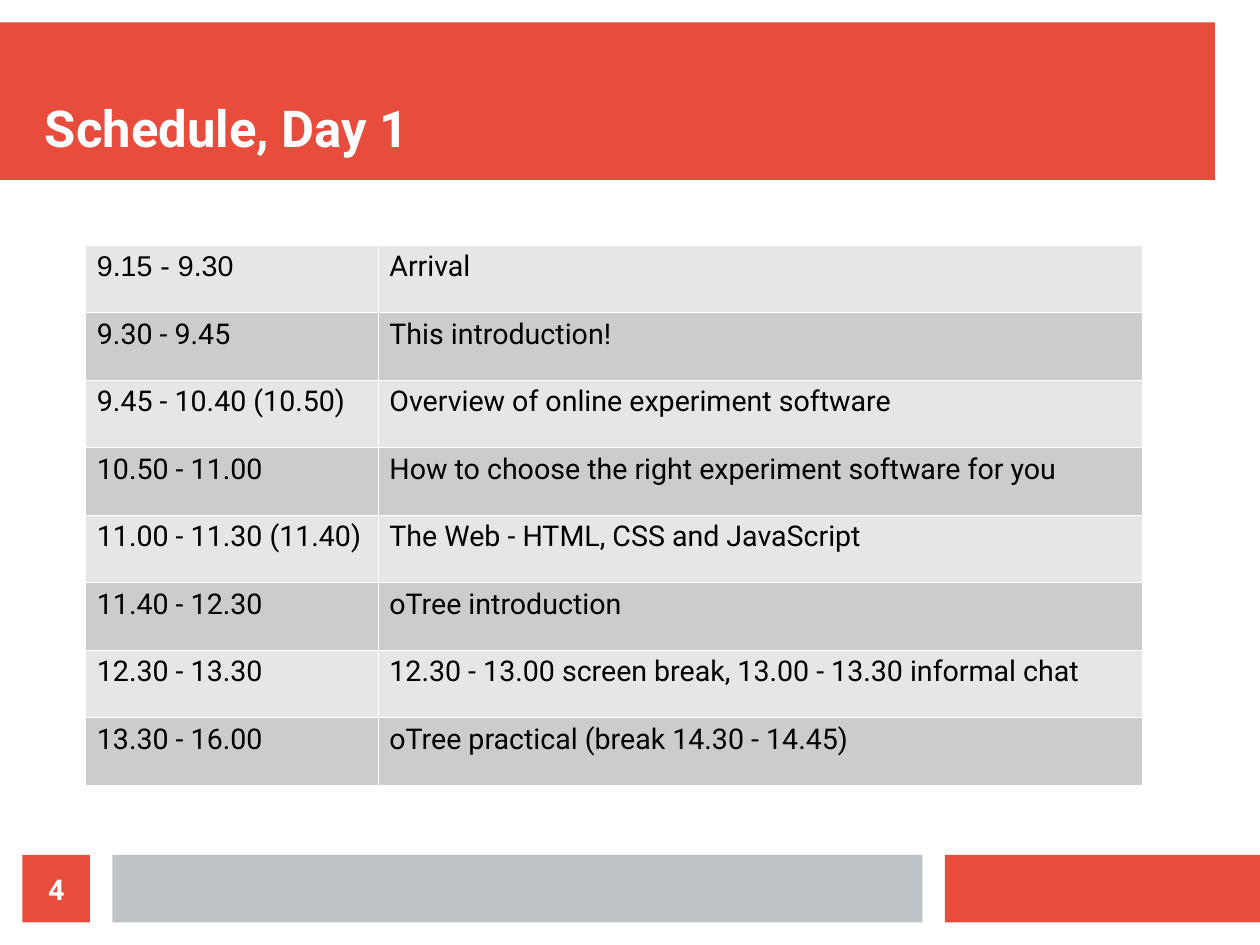
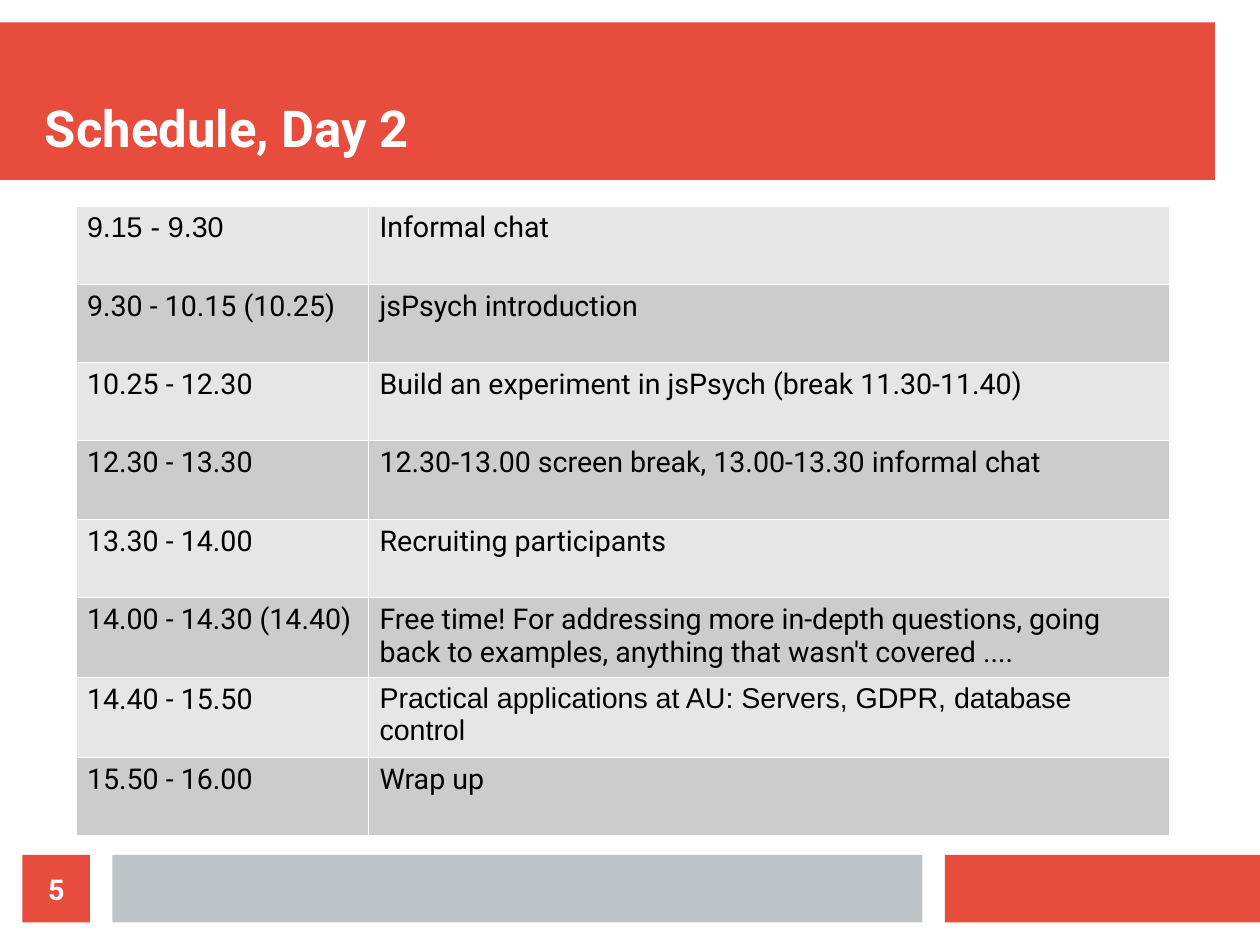
"""Build the two workshop schedule slides."""
import pptx
import pptx.dml.color
import pptx.enum.shapes
import pptx.enum.text
import pptx.oxml
import pptx.oxml.ns
import pptx.util

Cm = pptx.util.Cm
RGBColor = pptx.dml.color.RGBColor
PP_ALIGN = pptx.enum.text.PP_ALIGN
MSO_ANCHOR = pptx.enum.text.MSO_ANCHOR

RED = RGBColor(0xE7, 0x4C, 0x3C)
GREY = RGBColor(0xBD, 0xC3, 0xC7)
WHITE = RGBColor(0xFF, 0xFF, 0xFF)
BLACK = RGBColor(0, 0, 0)
ROW_FILLS = (RGBColor(0xE6, 0xE6, 0xE6), RGBColor(0xCC, 0xCC, 0xCC))
BORDER_WIDTH = pptx.util.Pt(0.06)

BANDS = [
    (0, 0.5, 27, 3.5, RED),
    (21, 19, 7, 1.5, RED),
    (2.5, 19, 18, 1.5, GREY),
    (0.5, 19, 1.5, 1.5, RED),
]

ARIAL_TEXTS = {
    "9.15 - 9.30",
    "Practical applications at AU: Servers, GDPR, database control",
}

SCHEDULES = [
    {
        "title": "Schedule, Day 1", "number": "4",
        "left": 1.9, "top": 5.44, "widths": (6.5, 16.97), "row_height": 1.5,
        "rows": [
            ("9.15 - 9.30", "Arrival"),
            ("9.30 - 9.45", "This introduction!"),
            ("9.45 - 10.40 (10.50)", "Overview of online experiment software"),
            ("10.50 - 11.00", "How to choose the right experiment software for you"),
            ("11.00 - 11.30 (11.40)", "The Web - HTML, CSS and JavaScript"),
            ("11.40 - 12.30", "oTree introduction"),
            ("12.30 - 13.30", "12.30 - 13.00 screen break, 13.00 - 13.30 informal chat"),
            ("13.30 - 16.00", "oTree practical (break 14.30 - 14.45)"),
        ],
    },
    {
        "title": "Schedule, Day 2", "number": "5",
        "left": 1.68, "top": 4.57, "widths": (6.5, 17.8), "row_height": 1.74,
        "rows": [
            ("9.15 - 9.30", "Informal chat"),
            ("9.30 - 10.15 (10.25)", "jsPsych introduction"),
            ("10.25 - 12.30", "Build an experiment in jsPsych (break 11.30-11.40)"),
            ("12.30 - 13.30", "12.30-13.00 screen break, 13.00-13.30 informal chat"),
            ("13.30 - 14.00", "Recruiting participants"),
            ("14.00 - 14.30 (14.40)",
             "Free time! For addressing more in-depth questions, going back to "
             "examples, anything that wasn't covered ...."),
            ("14.40 - 15.50",
             "Practical applications at AU: Servers, GDPR, database control"),
            ("15.50 - 16.00", "Wrap up"),
        ],
    },
]


def write(tf, text, size=18, font="Roboto", color=WHITE, bold=True,
          align=PP_ALIGN.LEFT):
    p = tf.paragraphs[0]
    p.alignment = align
    r = p.add_run()
    r.text = text
    r.font.size = pptx.util.Pt(size)
    r.font.name = font
    r.font.bold = bold
    r.font.color.rgb = color


prs = pptx.Presentation()
prs.slide_width, prs.slide_height = Cm(28), Cm(21)

for schedule in SCHEDULES:
    slide = prs.slides.add_slide(prs.slide_layouts[6])

    for left, top, width, height, color in BANDS:
        sp = slide.shapes.add_shape(
            pptx.enum.shapes.MSO_SHAPE.RECTANGLE,
            Cm(left), Cm(top), Cm(width), Cm(height))
        sp.shadow.inherit = False
        sp.fill.solid()
        sp.fill.fore_color.rgb = color
        sp.line.fill.background()
    number_box = sp
    title_box = slide.shapes.add_textbox(Cm(1), Cm(1), Cm(26), Cm(2.5))

    for sp, anchor in ((number_box, MSO_ANCHOR.MIDDLE), (title_box, MSO_ANCHOR.BOTTOM)):
        tf = sp.text_frame
        tf.word_wrap = True
        tf.vertical_anchor = anchor
        tf.margin_left = tf.margin_right = tf.margin_top = tf.margin_bottom = 0
    write(number_box.text_frame, schedule["number"], align=PP_ALIGN.CENTER)
    write(title_box.text_frame, schedule["title"], size=32)

    rows, widths = schedule["rows"], schedule["widths"]
    table = slide.shapes.add_table(
        len(rows), len(widths), Cm(schedule["left"]), Cm(schedule["top"]),
        Cm(sum(widths)), Cm(schedule["row_height"] * len(rows))).table
    table.first_row = table.horz_banding = False
    for column, width in zip(table.columns, widths):
        column.width = Cm(width)
    for i, texts in enumerate(rows):
        table.rows[i].height = Cm(schedule["row_height"])
        for j, text in enumerate(texts):
            cell = table.cell(i, j)
            tcPr = cell._tc.get_or_add_tcPr()
            for side in ("lnL", "lnR", "lnT", "lnB"):
                tcPr.append(pptx.oxml.parse_xml(
                    f'<a:{side} {pptx.oxml.ns.nsdecls("a")} w="{BORDER_WIDTH}">'
                    f'<a:solidFill><a:srgbClr val="{WHITE}"/></a:solidFill></a:{side}>'))
            cell.fill.solid()
            cell.fill.fore_color.rgb = ROW_FILLS[i % 2]
            write(cell.text_frame, text, color=BLACK, bold=False,
                  font="Arial" if text in ARIAL_TEXTS else "Roboto")

prs.save("out.pptx")
